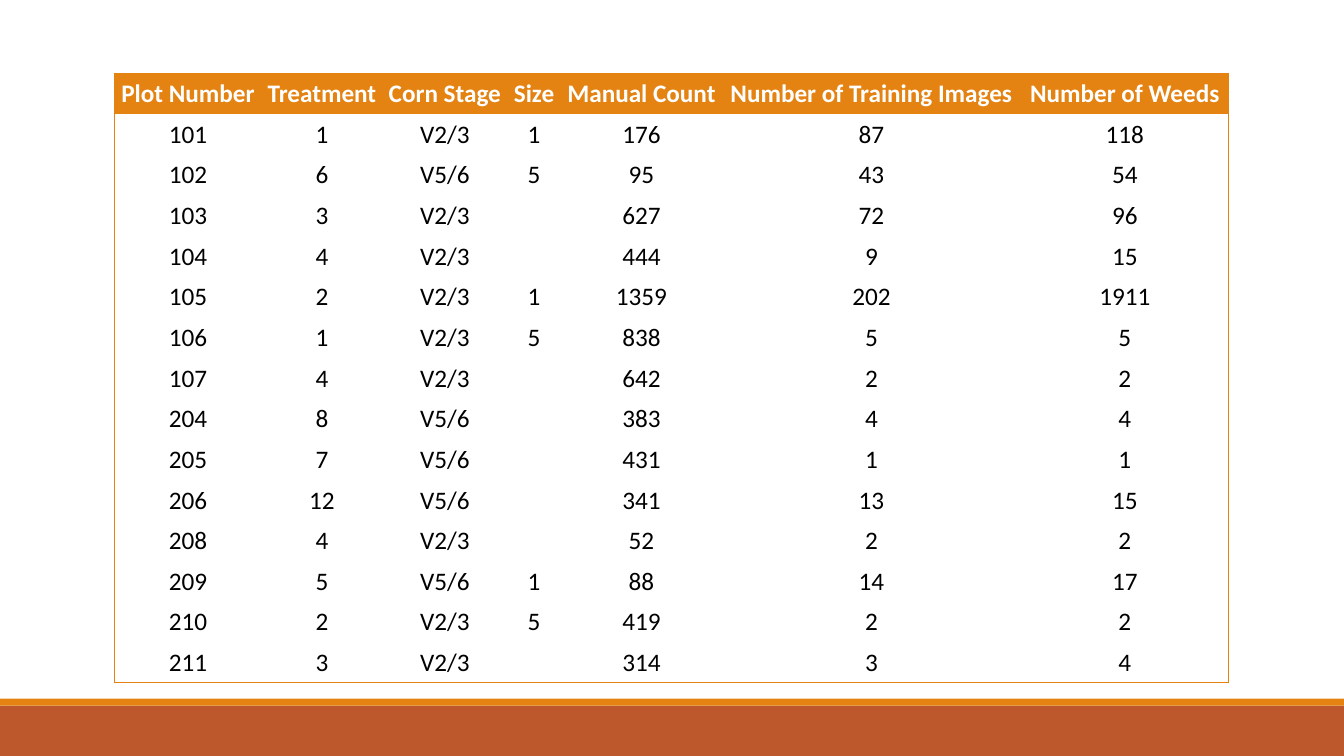
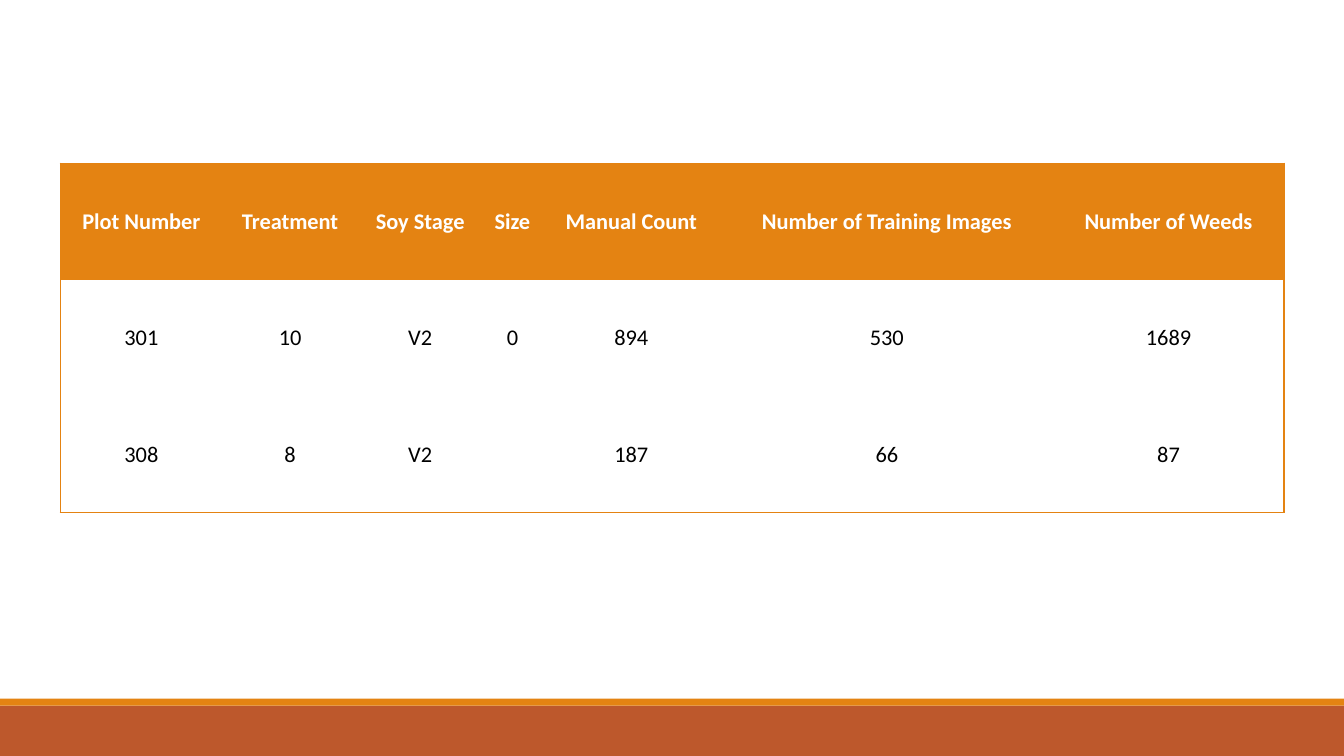
"""Build two slides of weed-count tables for corn and soy plots."""
from dataclasses import dataclass

from lxml.etree import SubElement
from pptx import Presentation
from pptx.dml.color import RGBColor
from pptx.enum.shapes import MSO_SHAPE
from pptx.enum.text import MSO_ANCHOR, PP_ALIGN
from pptx.oxml.ns import qn
from pptx.slide import Slide
from pptx.table import _Cell
from pptx.text.text import TextFrame
from pptx.util import Pt

ORANGE = RGBColor(0xE4, 0x83, 0x12)
RUST = RGBColor(0xBD, 0x58, 0x2C)
WHITE = RGBColor(0xFF, 0xFF, 0xFF)
BLACK = RGBColor(0x00, 0x00, 0x00)
FONT = "Calibri"
SLIDE_W, SLIDE_H = 960, 540


@dataclass(frozen=True)
class Band:
    top: float
    height: float
    color: RGBColor


@dataclass(frozen=True)
class PlotTable:
    crop: str
    left: float
    top: float
    row_height: float
    font_size: float
    col_widths: tuple[float, ...]
    rows: tuple[tuple[str, ...], ...]

    @property
    def header(self) -> tuple[str, ...]:
        return ("Plot Number", "Treatment", f"{self.crop} Stage", "Size",
                "Manual Count", "Number of Training Images", "Number of Weeds")


BANDS = (Band(504, 36, RUST), Band(499, 5, ORANGE))

TABLES = (
    PlotTable("Corn", 82, 52.3, 29.04, 18,
              (104.5, 87, 88.5, 39, 114.5, 214, 148), (
                  ("101", "1", "V2/3", "1", "176", "87", "118"),
                  ("102", "6", "V5/6", "5", "95", "43", "54"),
                  ("103", "3", "V2/3", "", "627", "72", "96"),
                  ("104", "4", "V2/3", "", "444", "9", "15"),
                  ("105", "2", "V2/3", "1", "1359", "202", "1911"),
                  ("106", "1", "V2/3", "5", "838", "5", "5"),
                  ("107", "4", "V2/3", "", "642", "2", "2"),
                  ("204", "8", "V5/6", "", "383", "4", "4"),
                  ("205", "7", "V5/6", "", "431", "1", "1"),
                  ("206", "12", "V5/6", "", "341", "13", "15"),
                  ("208", "4", "V2/3", "", "52", "2", "2"),
                  ("209", "5", "V5/6", "1", "88", "14", "17"),
                  ("210", "2", "V2/3", "5", "419", "2", "2"),
                  ("211", "3", "V2/3", "", "314", "3", "4"),
              )),
    PlotTable("Soy", 43, 116.6, 83.1, 16,
              (116, 96.5, 89.3, 42.5, 127.4, 237.6, 164.9), (
                  ("301", "10", "V2", "0", "894", "530", "1689"),
                  ("308", "8", "V2", "", "187", "66", "87"),
              )),
)


def write_text(tf: TextFrame, text: str, *, size: float, color: RGBColor,
               bold: bool = False) -> None:
    p = tf.paragraphs[0]
    p.alignment = PP_ALIGN.CENTER
    r = p.add_run()
    r.text = text
    r.font.name = FONT
    r.font.size = Pt(size)
    r.font.bold = bold
    r.font.color.rgb = color


def set_borders(cell: _Cell, edges: dict[str, bool]) -> None:
    tc_pr = cell._tc.get_or_add_tcPr()
    for side, visible in edges.items():
        ln = SubElement(tc_pr, qn(f"a:ln{side}"), w=str(Pt(1)))
        if visible:
            fill = SubElement(ln, qn("a:solidFill"))
            SubElement(fill, qn("a:srgbClr"), val=str(ORANGE))
        else:
            SubElement(ln, qn("a:noFill"))


def add_bands(s: Slide) -> None:
    for band in BANDS:
        sp = s.shapes.add_shape(MSO_SHAPE.RECTANGLE, 0, Pt(band.top),
                                Pt(SLIDE_W), Pt(band.height))
        sp.shadow.inherit = False
        sp.fill.solid()
        sp.fill.fore_color.rgb = band.color
        sp.line.fill.background()


def add_plot_table(s: Slide, spec: PlotTable) -> None:
    grid = (spec.header, *spec.rows)
    last_row, last_col = len(grid) - 1, len(spec.col_widths) - 1
    table = s.shapes.add_table(
        len(grid), len(spec.col_widths), Pt(spec.left), Pt(spec.top),
        Pt(sum(spec.col_widths)), Pt(spec.row_height * len(grid))).table
    table.first_row = table.horz_banding = False
    for column, width in zip(table.columns, spec.col_widths):
        column.width = Pt(width)
    for i, values in enumerate(grid):
        table.rows[i].height = Pt(spec.row_height)
        is_header = i == 0
        for j, value in enumerate(values):
            cell = table.cell(i, j)
            cell.margin_left = cell.margin_right = cell.margin_top = Pt(0.7)
            cell.margin_bottom = 0
            cell.vertical_anchor = MSO_ANCHOR.MIDDLE
            set_borders(cell, {"L": j == 0, "R": j == last_col,
                               "T": is_header, "B": i == last_row})
            if is_header:
                cell.fill.solid()
                cell.fill.fore_color.rgb = ORANGE
            else:
                cell.fill.background()
            if value:
                write_text(cell.text_frame, value, size=spec.font_size,
                           color=WHITE if is_header else BLACK, bold=is_header)


def main() -> None:
    prs = Presentation()
    prs.slide_width, prs.slide_height = Pt(SLIDE_W), Pt(SLIDE_H)
    for spec in TABLES:
        s = prs.slides.add_slide(prs.slide_layouts[6])
        add_bands(s)
        add_plot_table(s, spec)
    prs.save("out.pptx")


if __name__ == "__main__":
    main()
